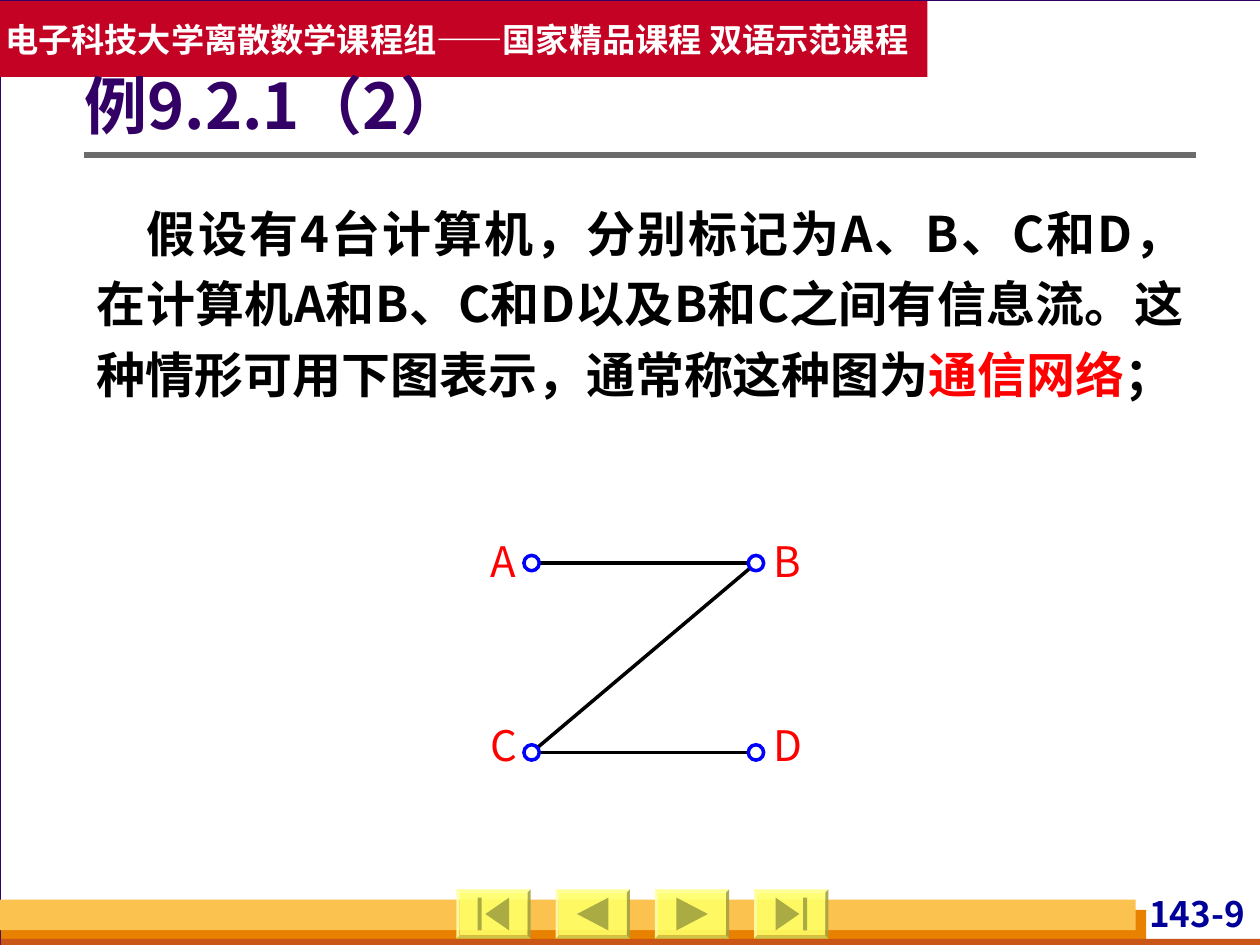
from pptx import Presentation
from pptx.dml.color import RGBColor
from pptx.enum.shapes import MSO_CONNECTOR, MSO_SHAPE
from pptx.enum.text import MSO_ANCHOR, PP_ALIGN
from pptx.oxml.ns import qn
from pptx.util import Pt
from lxml import etree

RECT, OVAL = MSO_SHAPE.RECTANGLE, MSO_SHAPE.OVAL
LINE = MSO_CONNECTOR.STRAIGHT
TOP, MID = MSO_ANCHOR.TOP, MSO_ANCHOR.MIDDLE
LEFT, RIGHT, JUST = PP_ALIGN.LEFT, PP_ALIGN.RIGHT, PP_ALIGN.JUSTIFY

FACE = "Noto Sans CJK SC"
HUES = {
    "back": "D8DADA", "white": "FFFFFF", "black": "000000",
    "plum": "330066", "navy": "000099", "blue": "0000FF",
    "red": "FF0000", "crimson": "C30224", "gray": "6B6B6B",
    "orange": "E88000", "rust": "C95616", "gold": "FCC24F",
    "face": "FFFF66", "light": "FFFF85", "pale": "FFFFA3",
    "shade": "CCCC52", "dark": "A3A341",
}

BARS = [
    ((0, 0, 720.5, 540), "white", "plum"),
    ((0.5, 520, 654.5, 20), "orange", None),
    ((0.5, 536.5, 720, 5.5), "rust", None),
    ((0, 514, 649, 17.5), "gold", None),
    ((0, 0.7, 530, 43.3), "crimson", None),
]
RULE = ((48.3, 88.5), (683.3, 88.5))

TEXTS = [
    {"at": (626.4, 510, 88, 27.4), "pad": (3, 0, 3, 0), "anchor": TOP,
     "runs": [("143-9", "navy")], "font": {"size": Pt(20), "bold": True},
     "para": {"alignment": RIGHT}},
    {"at": (0, 0.7, 530, 43.3), "pad": (3, 3.6, 3, 3.6), "anchor": MID,
     "runs": [("电子科技大学离散数学课程组——国家精品课程 双语示范课程", "white")],
     "font": {"size": Pt(19), "bold": True}, "para": {"alignment": LEFT}},
    {"at": (48.3, 26, 635, 72.7), "pad": (0, 3.6, 7.2, 3.6), "anchor": MID,
     "runs": [("例9.2.1（2）", "plum")], "font": {"size": Pt(36), "bold": True},
     "para": {"alignment": LEFT, "line_spacing": 0.9}},
    {"at": (48.3, 105.8, 635, 168.5), "pad": (7.2, 3.6, 7.2, 3.6), "anchor": TOP,
     "runs": [("假设有4台计算机，分别标记为A、B、C和D，在计算机A和B、C和D以及B和C之间有信息流。"
               "这种情形可用下图表示，通常称这种图为", "black"),
              ("通信网络", "red"), ("；", "black")],
     "font": {"size": Pt(28), "bold": True},
     "para": {"alignment": JUST, "line_spacing": 1.2}, "indent": 28.6},
]

NODES = {"A": (303.8, 321.8), "B": (432, 321.8),
         "C": (303.8, 430), "D": (432, 430)}
EDGES = ["AB", "CD", "BC"]
SHIFT = {"A": -23.7, "B": 10, "C": -23.7, "D": 10}
DOT = 8.8

WIDE, HIGH, RIM = 42.5, 28, 1.8
FIRST, STEP, ROW = 260.8, 56.7, 508.3
ARROW = [(12.2, 14), (30.2, 4.6), (30.2, 23.4)]
SKIP = [(16.6, 14), (30.2, 4.6), (30.2, 23.4)]
POST = [(12.2, 4.6), (14.4, 4.6), (14.4, 23.4), (12.2, 23.4)]
KEYS = [([SKIP, POST], False), ([ARROW], False),
        ([ARROW], True), ([SKIP, POST], True)]


def hue(name):
    return RGBColor.from_string(HUES[name])


def paint(shape, fill, edge=None, width=0.75):
    shape.shadow.inherit = False
    shape.fill.solid()
    shape.fill.fore_color.rgb = hue(fill)
    if edge:
        shape.line.color.rgb = hue(edge)
        shape.line.width = Pt(width)
    else:
        shape.line.fill.background()


def add_line(pen, start, end, color, width):
    line = pen.add_connector(LINE, *map(Pt, start + end))
    line.line.color.rgb = hue(color)
    line.line.width = Pt(width)
    etree.SubElement(line._element.spPr, qn("a:effectLst"))


def add_text(pen, at, pad, anchor, runs, font, para, indent=0):
    frame = pen.add_textbox(*map(Pt, at)).text_frame
    form = {"word_wrap": True, "vertical_anchor": anchor}
    sides = ("margin_left", "margin_top", "margin_right", "margin_bottom")
    form.update(zip(sides, map(Pt, pad)))
    line = frame.paragraphs[0]
    for item, values in ((frame, form), (line, para)):
        for key, value in values.items():
            setattr(item, key, value)
    if indent:
        line._p.get_or_add_pPr().set("indent", str(Pt(indent)))
    for text, color in runs:
        run = line.add_run()
        run.text = text
        run.font.color.rgb = hue(color)
        for key, value in {"name": FACE, **font}.items():
            setattr(run.font, key, value)
        etree.SubElement(run._r.rPr, qn("a:ea"), typeface=FACE)


def add_poly(pen, spots, color):
    spots = [(Pt(x), Pt(y)) for x, y in spots]
    form = pen.build_freeform(*spots[0])
    form.add_line_segments(spots[1:], close=True)
    shape = form.convert_to_shape()
    paint(shape, color)
    tint = shape._element.spPr.find(qn("a:solidFill"))[0]
    etree.SubElement(tint, qn("a:alpha"), val="90000")


def add_key(pen, left, icon, flip):
    outer = [(0, 0), (WIDE, 0), (WIDE, HIGH), (0, HIGH)]
    inner = [(RIM, RIM), (WIDE - RIM, RIM),
             (WIDE - RIM, HIGH - RIM), (RIM, HIGH - RIM)]
    parts = [(inner, "face")]
    for i, color in enumerate(("light", "dark", "shade", "pale")):
        j = (i + 1) % 4
        parts.append(([outer[i], outer[j], inner[j], inner[i]], color))
    for poly in icon:
        parts.append(([(WIDE - x if flip else x, y) for x, y in poly], "dark"))
    for poly, color in parts:
        add_poly(pen, [(left + x, ROW + y) for x, y in poly], color)


def main():
    deck = Presentation()
    deck.slide_width, deck.slide_height = Pt(720), Pt(540)
    slide = deck.slides.add_slide(deck.slide_layouts[6])
    slide.background.fill.solid()
    slide.background.fill.fore_color.rgb = hue("back")
    pen = slide.shapes

    for at, fill, edge in BARS:
        paint(pen.add_shape(RECT, *map(Pt, at)), fill, edge)
    add_line(pen, *RULE, "gray", 3)
    for i, (icon, flip) in enumerate(KEYS):
        add_key(pen, FIRST + i * STEP, icon, flip)
    for text in TEXTS:
        add_text(pen, **text)

    graph = pen.add_group_shape().shapes
    for a, b in EDGES:
        add_line(graph, NODES[a], NODES[b], "black", 2)
    for name, (x, y) in NODES.items():
        top = y - (15.8 if name in "AB" else 18.8)
        add_text(graph, (x + SHIFT[name], top, 9.4, 28.8), (0, 0, 0, 0), TOP,
                 [(name, "red")], {"size": Pt(24)}, {"alignment": JUST})
        spot = (x - DOT / 2, y - DOT / 2, DOT, DOT)
        paint(graph.add_shape(OVAL, *map(Pt, spot)), "white", "blue", 2)

    deck.save("out.pptx")


if __name__ == "__main__":
    main()
